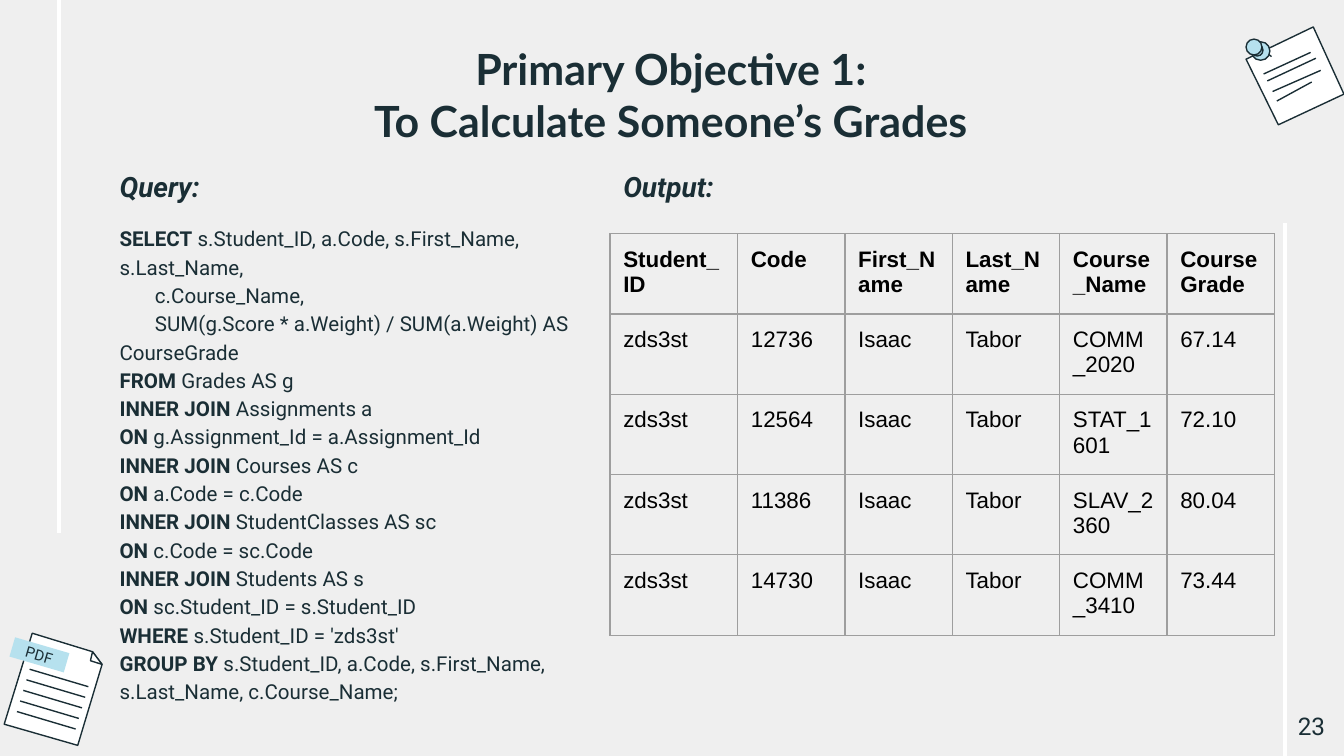
from lxml import etree
from pptx import Presentation
from pptx.dml.color import RGBColor
from pptx.enum.shapes import MSO_CONNECTOR, MSO_SHAPE
from pptx.enum.text import MSO_ANCHOR, PP_ALIGN
from pptx.oxml.ns import qn
from pptx.util import Cm, Pt

LEFT, CENTER, RIGHT = PP_ALIGN.LEFT, PP_ALIGN.CENTER, PP_ALIGN.RIGHT
TOP, MIDDLE = MSO_ANCHOR.TOP, MSO_ANCHOR.MIDDLE
RECT, OVAL = MSO_SHAPE.RECTANGLE, MSO_SHAPE.OVAL
STRAIGHT = MSO_CONNECTOR.STRAIGHT

COLORS = {"bg": "EFEFEF", "ink": "1A2E35", "white": "FFFFFF",
          "sky": "B6E1EE", "border": "9E9E9E", "black": "000000"}

QUERY = [
    ("SELECT", " s.Student_ID, a.Code, s.First_Name, s.Last_Name,"),
    ("", "c.Course_Name,"),
    ("", "SUM(g.Score * a.Weight) / SUM(a.Weight) AS CourseGrade"),
    ("FROM", " Grades AS g"),
    ("INNER JOIN", " Assignments a"),
    ("ON", " g.Assignment_Id = a.Assignment_Id"),
    ("INNER JOIN", " Courses AS c"),
    ("ON", " a.Code = c.Code"),
    ("INNER JOIN", " StudentClasses AS sc"),
    ("ON", " c.Code = sc.Code"),
    ("INNER JOIN", " Students AS s"),
    ("ON", " sc.Student_ID = s.Student_ID"),
    ("WHERE", " s.Student_ID = 'zds3st'"),
    ("GROUP BY", " s.Student_ID, a.Code, s.First_Name, s.Last_Name, c.Course_Name;"),
]

HEADER = ["Student_ID", "Code", "First_Name", "Last_Name", "Course_Name", "CourseGrade"]
GRADES = [("12736", "COMM_2020", "67.14"), ("12564", "STAT_1601", "72.10"),
          ("11386", "SLAV_2360", "80.04"), ("14730", "COMM_3410", "73.44")]
ROWS = [HEADER] + [["zds3st", code, "Isaac", "Tabor", course, grade]
                   for code, course, grade in GRADES]


def rgb(name):
    return RGBColor.from_string(COLORS[name])


def add_run(p, text, size=11, font="Roboto", color="ink", bold=False, italic=False):
    r = p.add_run()
    r.text = text
    r.font.size = Pt(size)
    r.font.name = font
    r.font.bold = bold
    r.font.italic = italic
    r.font.color.rgb = rgb(color)


class Deck:
    def __init__(self, width, height):
        self.prs = Presentation()
        self.prs.slide_width, self.prs.slide_height = Cm(width), Cm(height)
        self.s = self.prs.slides.add_slide(self.prs.slide_layouts[6])
        self.s.background.fill.solid()
        self.s.background.fill.fore_color.rgb = rgb("bg")

    def frame(self, tf, inset=0.25, anchor=TOP):
        tf.word_wrap = True
        tf.vertical_anchor = anchor
        tf.margin_left = tf.margin_right = Cm(inset)
        tf.margin_top = tf.margin_bottom = Cm(inset)

    def text(self, box, lines, align=LEFT, anchor=TOP, **fmt):
        tf = self.s.shapes.add_textbox(*map(Cm, box)).text_frame
        self.frame(tf, anchor=anchor)
        for i, line in enumerate(lines):
            p = tf.add_paragraph() if i else tf.paragraphs[0]
            p.alignment = align
            add_run(p, line, **fmt)

    def query(self, box, lines):
        tf = self.s.shapes.add_textbox(*map(Cm, box)).text_frame
        self.frame(tf)
        for i, (keyword, rest) in enumerate(lines):
            p = tf.add_paragraph() if i else tf.paragraphs[0]
            p.line_spacing = 1.15
            if keyword:
                add_run(p, keyword, bold=True)
            else:
                p._p.get_or_add_pPr().set("indent", str(Cm(0.67)))
            add_run(p, rest)

    def paint(self, sp, fill, outline):
        sp.shadow.inherit = False
        sp.fill.solid()
        sp.fill.fore_color.rgb = rgb(fill)
        if outline:
            sp.line.color.rgb = rgb(outline)
            sp.line.width = Pt(0.75)
        else:
            sp.line.fill.background()
        return sp

    def shape(self, kind, box, fill, outline=None):
        return self.paint(self.s.shapes.add_shape(kind, *map(Cm, box)), fill, outline)

    def outline(self, points):
        points = [(Cm(x), Cm(y)) for x, y in points]
        fb = self.s.shapes.build_freeform(*points[0], scale=1.0)
        fb.add_line_segments(points[1:], close=True)
        self.paint(fb.convert_to_shape(), "white", "ink")

    def line(self, ends, color="ink", width=0.75):
        c = self.s.shapes.add_connector(STRAIGHT, *map(Cm, ends))
        c.line.color.rgb = rgb(color)
        c.line.width = Pt(width)
        etree.SubElement(c._element.spPr, qn("a:effectLst"))

    def borders(self, cell):
        tcPr = cell._tc.get_or_add_tcPr()
        for side in "LRTB":
            ln = etree.SubElement(tcPr, qn(f"a:ln{side}"), w=str(Pt(0.75)))
            fill = etree.SubElement(ln, qn("a:solidFill"))
            etree.SubElement(fill, qn("a:srgbClr"), val=COLORS["border"])

    def table(self, left, top, widths, row_height, rows):
        table = self.s.shapes.add_table(
            len(rows), len(widths), Cm(left), Cm(top),
            Cm(sum(widths)), Cm(row_height * len(rows))).table
        table.first_row = table.horz_banding = False
        for col, width in zip(table.columns, widths):
            col.width = Cm(width)
        for i, row in enumerate(rows):
            table.rows[i].height = Cm(row_height)
            for j, value in enumerate(row):
                cell = table.cell(i, j)
                cell.margin_left = cell.margin_right = Cm(0.25)
                cell.margin_top = cell.margin_bottom = Cm(0.25)
                self.borders(cell)
                cell.fill.background()
                add_run(cell.text_frame.paragraphs[0], value, size=12,
                        font="Arial", color="black", bold=i == 0)

    def pdf_sheet(self):
        self.outline([(0.61, 11.97), (1.75, 12.32), (1.93, 12.56), (1.47, 14.09), (0.08, 13.69)])
        self.outline([(1.75, 12.32), (1.71, 12.49), (1.93, 12.56)])
        for i in range(5):
            x, y = 0.56 - 0.06 * i, 12.65 + 0.2 * i
            self.line((x, y, x + 1.11, y + 0.33))
        sp = self.shape(RECT, (0.21, 12.19, 1.07, 0.38), "sky")
        sp.rotation = 16.3
        self.frame(sp.text_frame, inset=0, anchor=MIDDLE)
        p = sp.text_frame.paragraphs[0]
        p.alignment = CENTER
        add_run(p, "PDF", size=8)

    def pinned_note(self):
        self.outline([(23.55, 1.12), (24.82, 0.51), (25.4, 1.78), (24.16, 2.36)])
        for ends in [(23.88, 1.4, 24.77, 0.99), (23.95, 1.53, 24.87, 1.1),
                     (24.05, 1.73, 24.96, 1.33), (24.13, 1.91, 24.79, 1.55),
                     (23.93, 0.99, 24.03, 1.07)]:
            self.line(ends)
        for x, y, size in [(23.65, 0.79, 0.35), (23.65, 0.84, 0.22), (23.55, 0.74, 0.3)]:
            self.shape(OVAL, (x, y, size, size), "sky", "ink")


def main():
    deck = Deck(25.4, 14.29)
    deck.pdf_sheet()
    deck.pinned_note()
    deck.line((1.12, 0, 1.12, 10.08), "white", 2.25)
    deck.line((24.28, 4.22, 24.28, 14.29), "white", 2.25)
    deck.text((1.98, 0.56, 21.41, 1.6),
              ["Primary Objective 1:", "To Calculate Someone’s Grades"],
              align=CENTER, size=23, font="Lato", bold=True)
    deck.query((2.01, 3.96, 9.04, 9.32), QUERY)
    for x, label in [(2.01, "Query:"), (11.53, "Output:")]:
        deck.text((x, 2.95, 5.33, 0.86), [label], size=15, bold=True, italic=True)
    deck.table(11.53, 4.42, [2.41] + [2.03] * 5, 1.45, ROWS)
    deck.text((23.77, 13.18, 1.52, 1.09), ["23"], align=RIGHT, anchor=MIDDLE, size=13)
    deck.prs.save("out.pptx")


if __name__ == "__main__":
    main()
